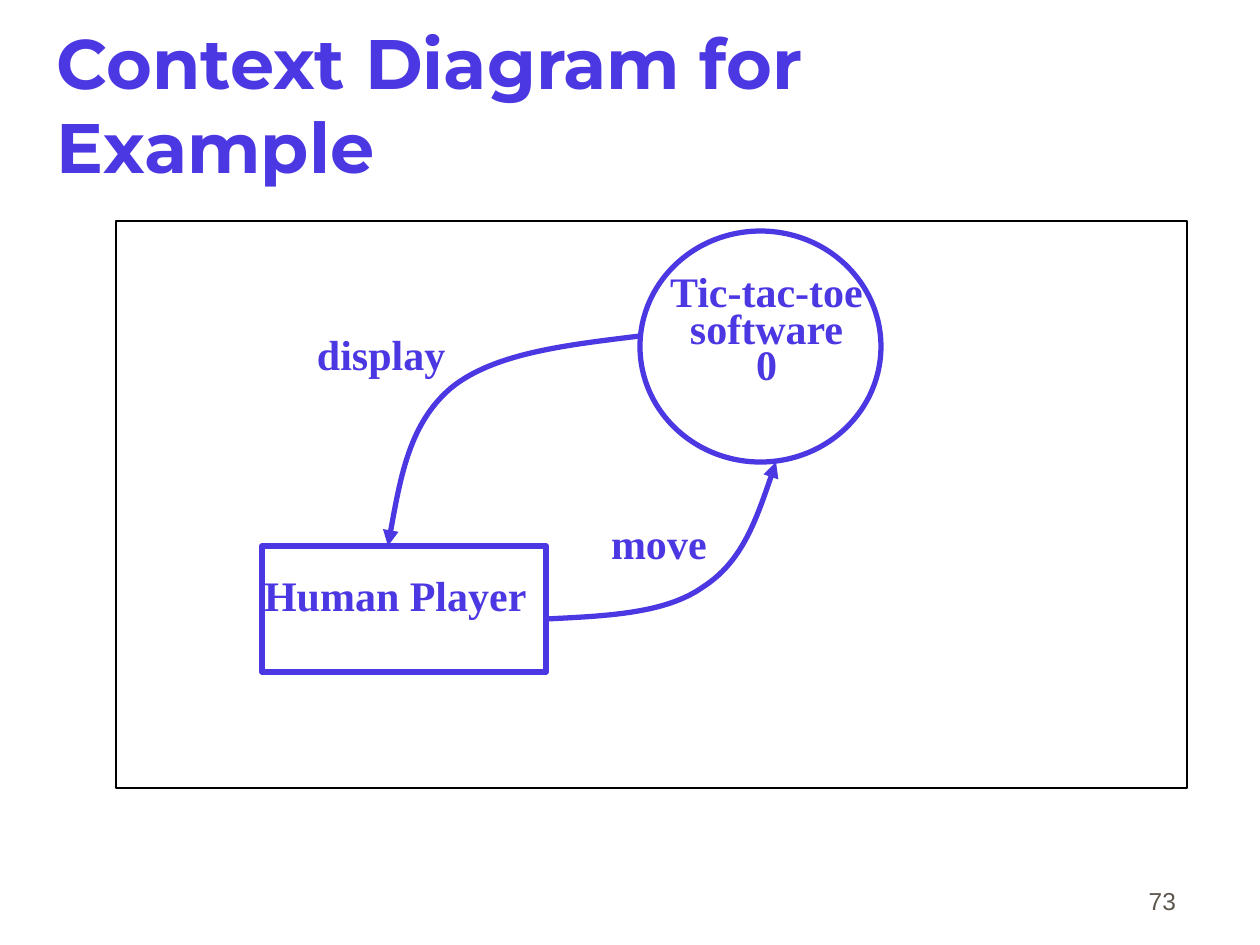
from dataclasses import dataclass

from lxml.etree import SubElement
from pptx import Presentation
from pptx.dml.color import RGBColor as RGB
from pptx.enum.shapes import MSO_SHAPE as SHAPE
from pptx.enum.text import MSO_ANCHOR as ANCHOR, MSO_AUTO_SIZE as FIT, PP_ALIGN as ALIGN
from pptx.oxml.ns import qn
from pptx.util import Emu, Pt

SCALE = 914400 / 126


def px(n):
    return Emu(round(n * SCALE))


@dataclass(frozen=True)
class TextStyle:
    font: str
    size: int
    color: RGB
    bold: bool
    before: float
    spacing: float = 1.0
    inset: int = 2


class Theme:
    accent = RGB(0x4C, 0x38, 0xE2)
    frame = RGB(0, 0, 0)
    thin, thick = 0.75, 3
    title = TextStyle("Montserrat", 40, accent, True, 9.9)
    label = TextStyle("Times New Roman", 24, accent, True, 13.6, 0.72)
    number = TextStyle("Arial", 14, RGB(0x5E, 0x57, 0x4E), False, 8.8, inset=13)


class Diagram:
    def __init__(self, slide):
        self.slide = slide
        self.shapes = slide.shapes

    def set_text(self, sp, text, style, align, anchor):
        tf = sp.text_frame
        tf.word_wrap = True
        tf.auto_size = FIT.NONE
        tf.vertical_anchor = anchor
        tf.margin_left = tf.margin_right = px(style.inset)
        tf.margin_top = tf.margin_bottom = px(6)
        tf.text = text
        p = tf.paragraphs[0]
        p.alignment = align
        p.space_before = Pt(style.before)
        p.line_spacing = style.spacing
        p.font.name = style.font
        p.font.size = Pt(style.size)
        p.font.bold = style.bold
        p.font.color.rgb = style.color

    def title(self, text, x, y, w, h):
        sp = self.shapes.title
        sp.left, sp.top, sp.width, sp.height = map(px, (x, y, w, h))
        self.set_text(sp, text, Theme.title, ALIGN.LEFT, ANCHOR.MIDDLE)

    def text(self, text, x, y, w, h, style=Theme.label, align=ALIGN.LEFT, anchor=ANCHOR.TOP):
        sp = self.shapes.add_textbox(*map(px, (x, y, w, h)))
        self.set_text(sp, text, style, align, anchor)

    def outline(self, sp, color, width):
        sp.shadow.inherit = False
        sp.fill.background()
        sp.line.color.rgb = color
        sp.line.width = Pt(width)

    def shape(self, kind, x, y, w, h, color=Theme.accent, width=Theme.thick):
        sp = self.shapes.add_shape(kind, *map(px, (x, y, w, h)))
        if kind == SHAPE.ROUNDED_RECTANGLE:
            sp.adjustments[0] = 0
        self.outline(sp, color, width)

    def curved_arrow(self, start, *points):
        builder = self.shapes.build_freeform(*start, scale=SCALE)
        builder.add_line_segments(points, close=False)
        sp = builder.convert_to_shape()
        self.outline(sp, Theme.accent, Theme.thick)
        outline_xml = next(sp.element.iter(qn("a:path")))
        lines = outline_xml.findall(qn("a:lnTo"))
        for i in range(0, len(lines), 3):
            curve = SubElement(outline_xml, qn("a:cubicBezTo"))
            for line in lines[i:i + 3]:
                curve.append(line[0])
                outline_xml.remove(line)
        ln = sp.element.spPr.find(qn("a:ln"))
        SubElement(ln, qn("a:tailEnd"), type="triangle")


def main():
    prs = Presentation()
    prs.slide_width, prs.slide_height = px(1260), px(945)
    d = Diagram(prs.slides.add_slide(prs.slide_layouts[5]))

    d.title("Context Diagram for Example", 55, 25, 1071, 158)
    d.shape(SHAPE.ROUNDED_RECTANGLE, 116, 221, 1071, 567, Theme.frame, Theme.thin)
    d.shape(SHAPE.OVAL, 640, 231, 241, 231)
    d.shape(SHAPE.ROUNDED_RECTANGLE, 262, 546, 284, 126)
    d.text("Human Player", 262, 577, 294, 63)
    d.text("Tic-tac-toe software\v0", 651, 273, 231, 164, align=ALIGN.CENTER)
    d.curved_arrow((640, 336), (567, 345), (494, 353), (451, 388),
                   (410, 423), (399, 484), (388, 546))
    d.curved_arrow((546, 619), (605, 616), (665, 614), (703, 587),
                   (742, 562), (759, 512), (776, 462))
    d.text("display", 315, 336, 189, 63)
    d.text("move", 609, 525, 221, 63)
    d.text("73", 927, 858, 262, 63, Theme.number, ALIGN.RIGHT, ANCHOR.BOTTOM)

    prs.save("out.pptx")


if __name__ == "__main__":
    main()
